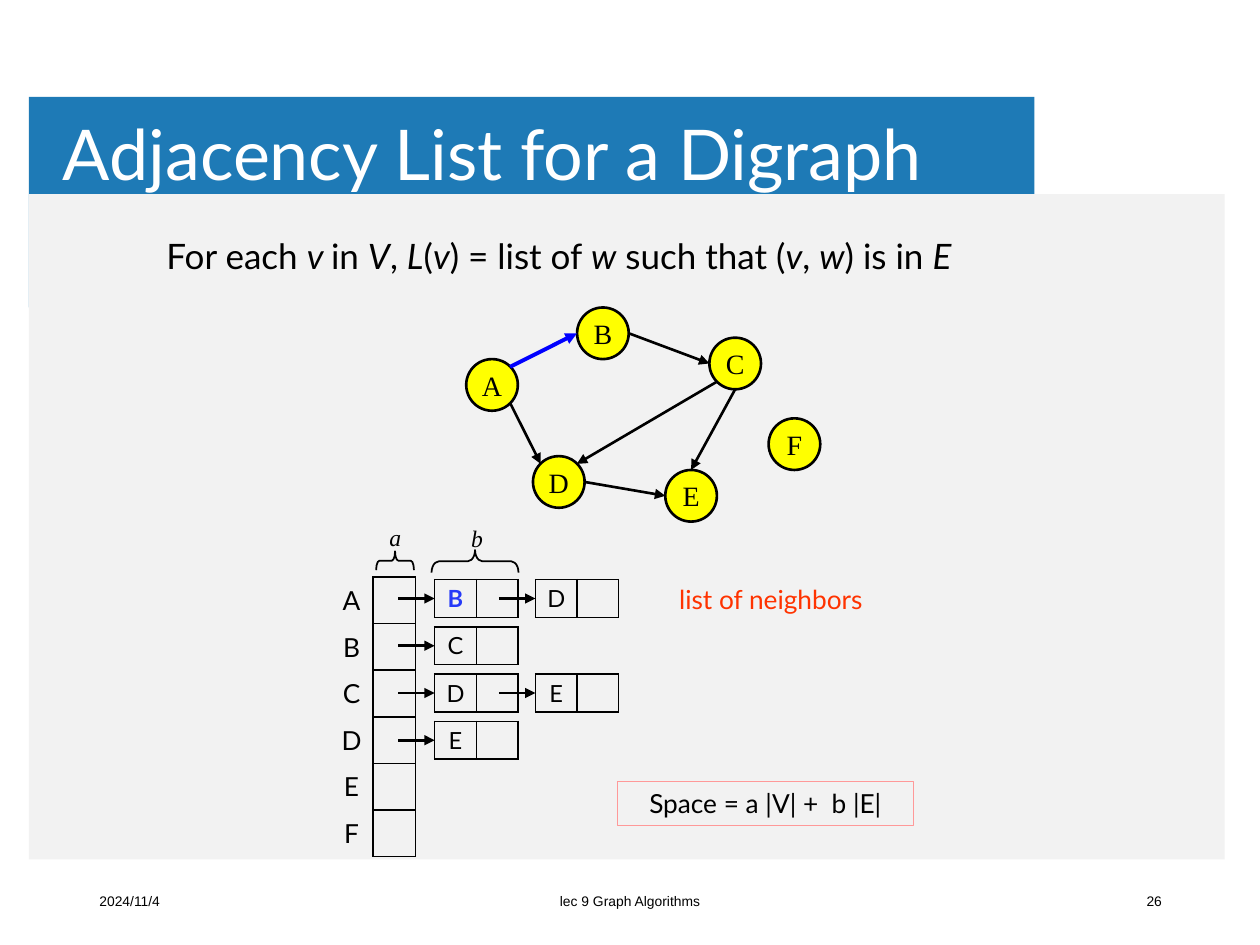
from lxml import etree
from pptx import Presentation
from pptx.dml.color import RGBColor
from pptx.enum.shapes import MSO_CONNECTOR, MSO_SHAPE
from pptx.enum.text import MSO_ANCHOR, PP_ALIGN
from pptx.oxml.ns import qn
from pptx.util import Inches, Pt

LEFT, MID, RIGHT = PP_ALIGN.LEFT, PP_ALIGN.CENTER, PP_ALIGN.RIGHT
TOP, CENTER = MSO_ANCHOR.TOP, MSO_ANCHOR.MIDDLE
RECT, OVAL, BRACE = MSO_SHAPE.RECTANGLE, MSO_SHAPE.OVAL, MSO_SHAPE.LEFT_BRACE
BLACK = "000000"
SERIF = "Times New Roman"
color = RGBColor.from_string

deck = Presentation()
deck.slide_width, deck.slide_height = Inches(10), Inches(7.5)
slide = deck.slides.add_slide(deck.slide_layouts[6])
shapes = slide.shapes


def write(para, text, size, face="Lato", ink=BLACK, align=MID):
    """Fill a paragraph; every second part between asterisks is italic."""
    for i, part in enumerate(text.split("*")):
        if part:
            run = para.add_run()
            run.text = part
            if i % 2:
                run.font.italic = True
    para.alignment = align
    font = para.font
    font.size, font.name = Pt(size), face
    font.color.rgb = color(ink)


def arrow(x1, y1, x2, y2, ink=BLACK, width=1.5):
    line = shapes.add_connector(MSO_CONNECTOR.STRAIGHT, Inches(x1), Inches(y1),
                                Inches(x2), Inches(y2))
    line.line.color.rgb = color(ink)
    line.line.width = Pt(width)
    etree.SubElement(line.line._get_or_add_ln(), qn("a:tailEnd"), type="triangle")
    etree.SubElement(line._element.spPr, qn("a:effectLst"))


# Title band and body panel
for x, y, w, h, fill in [(0.23, 0.77, 7.98, 1.67, "1E7AB6"),
                         (0.23, 1.54, 9.49, 5.28, "F2F2F2")]:
    panel = shapes.add_shape(RECT, Inches(x), Inches(y), Inches(w), Inches(h))
    panel.shadow.inherit = False
    panel.fill.solid()
    panel.fill.fore_color.rgb = color(fill)
    panel.line.fill.background()

# Text boxes: left, top, width, height, side inset, anchor, spacing, text style
rule = ("For each *v *in *V*, *L*(*v*) = list of *w* such that "
        "(*v*, *w*) is in *E*")
texts = [
    (0.43, 0.76, 8.03, 0.98, 0.07, CENTER, 0.9,
     ("Adjacency List for a Digraph", 40, "Lato", "FFFFFF", LEFT)),
    (0.69, 6.95, 2.25, 0.4, 0.1, CENTER, 1, ("2024/11/4", 7.9, "Arial", BLACK, LEFT)),
    (3.31, 6.95, 3.38, 0.4, 0.1, CENTER, 1,
     ("lec 9 Graph Algorithms", 7.9, "Arial", BLACK, MID)),
    (7.07, 6.95, 2.25, 0.4, 0.1, CENTER, 1, ("26", 7.9, "Arial", BLACK, RIGHT)),
    (1.24, 1.9, 7.65, 0.34, 0.08, TOP, 0.7, (rule, 20, "Lato", BLACK, LEFT)),
    (3.02, 4.1, 0.16, 0.33, 0.07, TOP, 1, ("*a*", 13.5, SERIF, BLACK, LEFT)),
    (3.67, 4.11, 0.16, 0.33, 0.07, TOP, 1, ("*b*", 13.5, SERIF, BLACK, LEFT)),
    (5.31, 4.58, 2.45, 0.35, 0.08, TOP, 1,
     ("list of neighbors", 15, "Lato", "FF3300", LEFT)),
]
for x, y, w, h, inset, anchor, space, style in texts:
    frame = shapes.add_textbox(Inches(x), Inches(y), Inches(w), Inches(h)).text_frame
    frame.word_wrap = True
    frame.vertical_anchor = anchor
    frame.margin_left = Inches(inset)
    frame.margin_right = Inches(0 if w < 0.2 else inset)
    frame.paragraphs[0].line_spacing = space
    write(frame.paragraphs[0], *style)

# Digraph: nodes by top left corner, edges by compass points
size = 0.41
nodes = {"A": (3.7, 2.85), "B": (4.58, 2.44), "C": (5.63, 2.68),
         "E": (5.28, 3.73), "D": (4.23, 3.62), "F": (6.1, 3.32)}
for name, (x, y) in nodes.items():
    node = shapes.add_shape(OVAL, Inches(x), Inches(y), Inches(size), Inches(size))
    node.shadow.inherit = False
    node.fill.solid()
    node.fill.fore_color.rgb = color("FFFF00")
    node.line.color.rgb = color(BLACK)
    node.line.width = Pt(1.5)
    node.text_frame.word_wrap = False
    node.text_frame.vertical_anchor = CENTER
    write(node.text_frame.paragraphs[0], name, 16, SERIF)

near, far = 0.15 * size, 0.85 * size
half = size / 2
ports = {"n": (half, 0), "s": (half, size), "w": (0, half), "e": (size, half),
         "nw": (near, near), "ne": (far, near), "sw": (near, far), "se": (far, far)}
edges = [("C", "s", "E", "n"), ("D", "e", "E", "w"), ("A", "se", "D", "nw"),
         ("C", "sw", "D", "ne"), ("B", "e", "C", "w"),
         ("A", "ne", "B", "w", "0000FF", 2.25)]
for start, out, end, into, *style in edges:
    ends = [a + b for name, port in ((start, out), (end, into))
            for a, b in zip(nodes[name], ports[port])]
    arrow(*ends, *style)

# Space formula
box = shapes.add_shape(RECT, Inches(4.9), Inches(6.2), Inches(2.35), Inches(0.35))
box.shadow.inherit = False
box.fill.background()
box.line.color.rgb = color("FF9999")
box.line.width = Pt(0.75)
box.text_frame.word_wrap = False
box.text_frame.vertical_anchor = CENTER
write(box.text_frame.paragraphs[0], "Space = a |V| +  b |E|", 15)

# Braces over the cell widths
for x, y, w, h, bend in [(3.06, 4.3, 0.15, 0.3, 0.17), (3.68, 4.11, 0.18, 0.69, 0.32)]:
    brace = shapes.add_shape(BRACE, Inches(x), Inches(y), Inches(w), Inches(h))
    brace.shadow.inherit = False
    brace.rotation = 90
    brace.adjustments[0] = bend
    brace.fill.background()
    brace.line.color.rgb = color(BLACK)
    brace.line.width = Pt(1)

# Adjacency lists: left, top, column width, row height, rows, text size, border
lists = ["BD", "C", "DE", "E"]
step = 0.375
grids = [(2.96, 4.58, 0.34, 0.37, [[""]] * 6, 15, True),
         (2.62, 4.58, 0.34, 0.37, [[name] for name in "ABCDEF"], 15, False)]
for i, names in enumerate(lists):
    for j, name in enumerate(names):
        x, y = 3.45 + 0.8 * j, 4.6 + step * i
        grids.append((x, y, 0.33, 0.3, [[name, ""]], 13.5, True))
        arrow(x - 0.29, y + 0.15, x, y + 0.15)

for x, y, w, h, rows, points, border in grids:
    count = len(rows[0])
    table = shapes.add_table(len(rows), count, Inches(x), Inches(y),
                             Inches(w * count), Inches(h * len(rows))).table
    table.first_row = table.horz_banding = False
    for column in table.columns:
        column.width = Inches(w)
    for r, row in enumerate(rows):
        table.rows[r].height = Inches(h)
        for c, text in enumerate(row):
            cell = table.cell(r, c)
            cell.margin_left = cell.margin_right = Inches(0.07)
            cell.margin_top = cell.margin_bottom = Inches(0.03 if text else 0)
            cell.vertical_anchor = CENTER
            first = border and (x, y) == (3.45, 4.6)
            para = cell.text_frame.paragraphs[0]
            write(para, text, points, ink="263AF8" if first else BLACK)
            para.font.bold = first
            props = cell._tc.get_or_add_tcPr()
            for side in ("a:lnL", "a:lnR", "a:lnT", "a:lnB"):
                edge = etree.SubElement(props, qn(side), w=str(Pt(1)))
                if border:
                    fill = etree.SubElement(edge, qn("a:solidFill"))
                    etree.SubElement(fill, qn("a:srgbClr"), val=BLACK)
                else:
                    etree.SubElement(edge, qn("a:noFill"))
            cell.fill.background()

deck.save("out.pptx")
